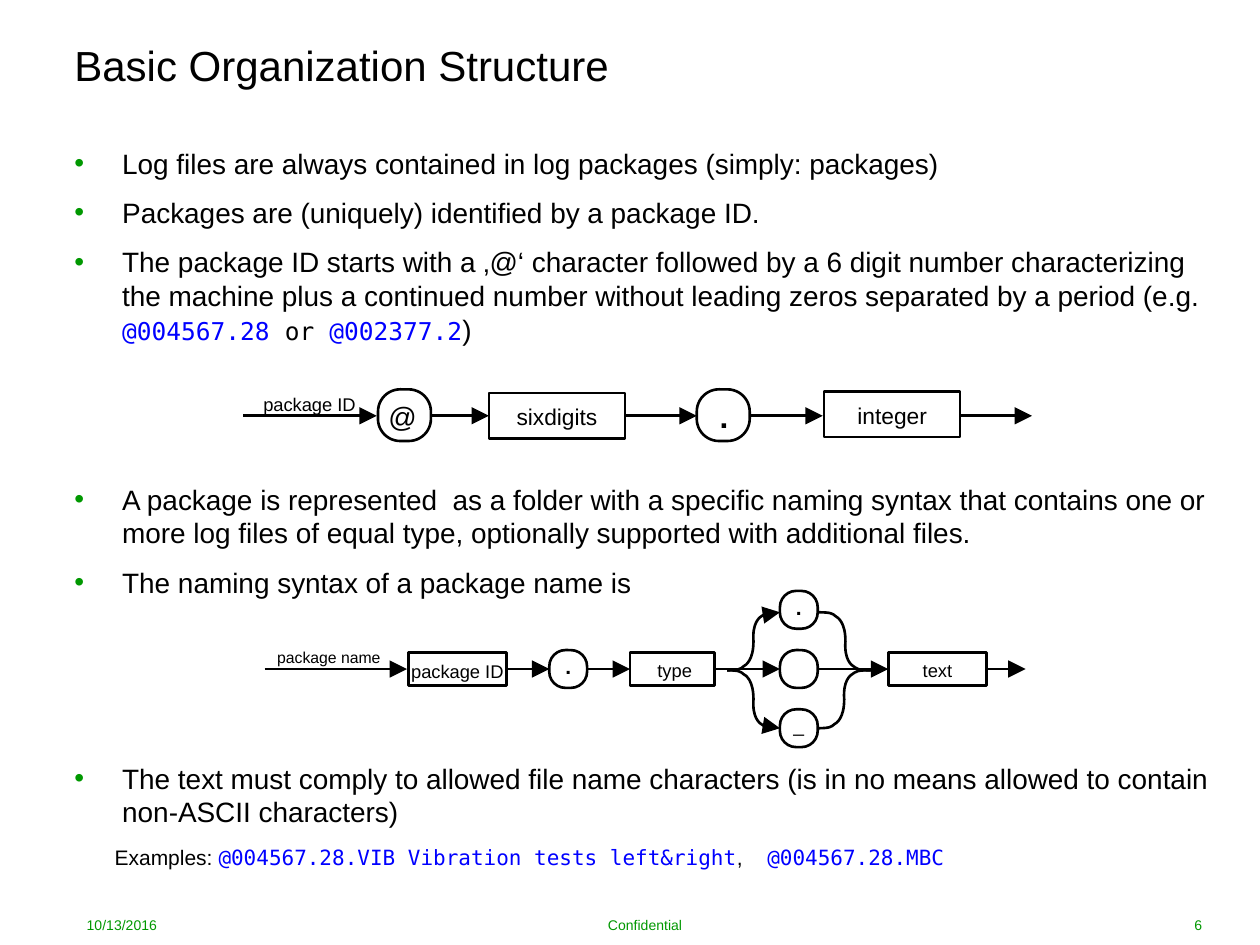
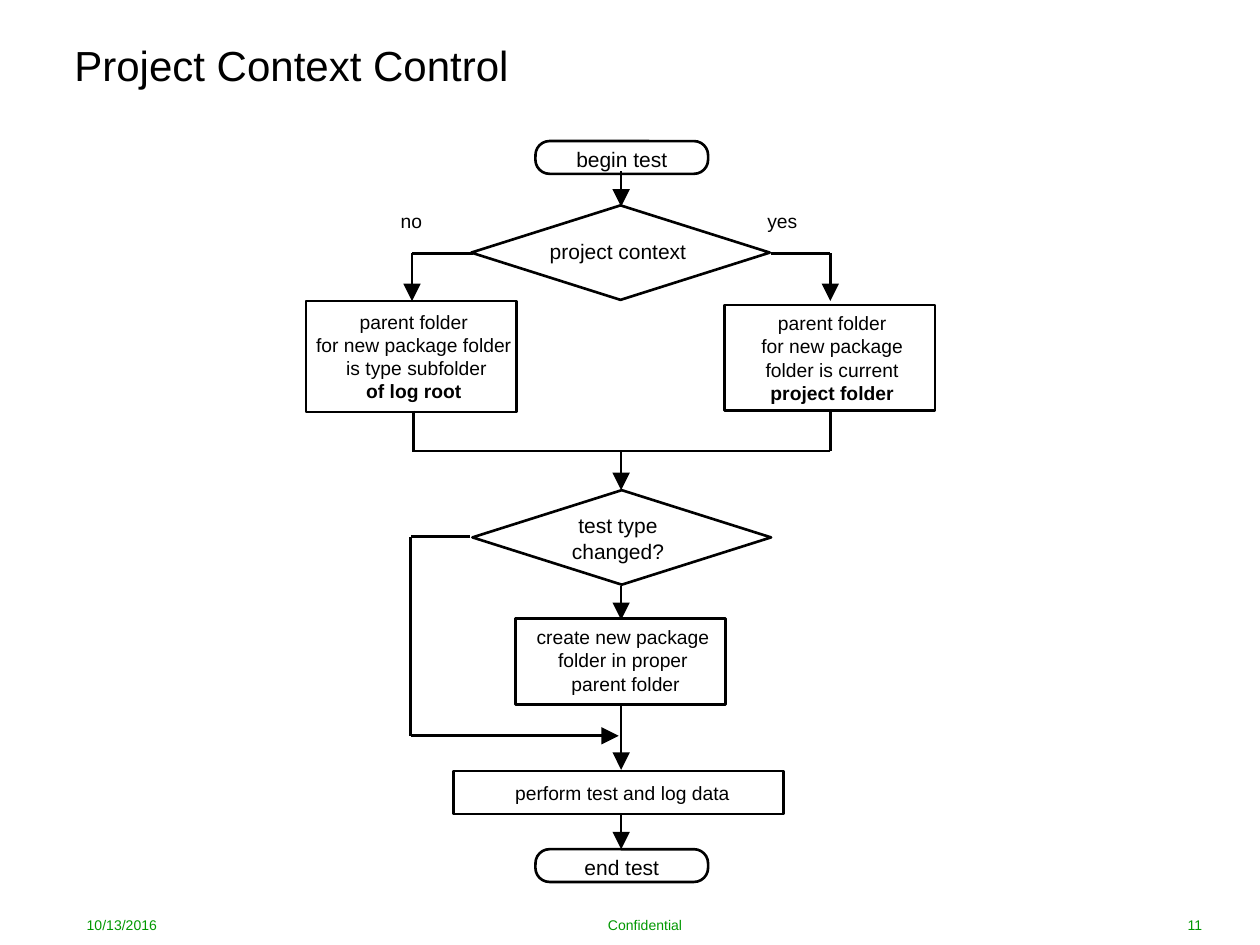
from pptx import Presentation
from pptx.dml.color import RGBColor
from pptx.enum.shapes import MSO_CONNECTOR as Link, MSO_SHAPE as Kind
from pptx.enum.text import MSO_ANCHOR as Anchor, PP_ALIGN as Align
from pptx.oxml.ns import qn
from pptx.util import Inches, Pt
from lxml.etree import SubElement

BLACK = RGBColor(0, 0, 0)
WHITE = RGBColor(255, 255, 255)
GREEN = RGBColor(0, 0x98, 0)
BLUE = RGBColor(0, 0, 255)
SANS, MONO = "Arial", "DejaVu Sans Mono"
STROKE = Pt(1.5)
ROUND = 0.43
INDENT = 0.38

# S-shaped branch: start, then cubic pieces (two handles and an end)
BEND = [(0, 0), (.09, 0), (.11, .01), (.13, .03), (.15, .04), (.21, .08),
        (.21, .23), (.2, .37), (.25, .42), (.29, .44), (.32, .46),
        (.35, .46), (.42, .46)]


class Deck:
    """Shared style and the slide being drawn."""

    def __init__(self):
        """Open an empty 10 by 7.5 inch deck."""
        self.prs = Presentation()
        self.prs.slide_width, self.prs.slide_height = Inches(10), Inches(7.5)
        self.slide = None

    def page(self, title, num):
        """Start a slide with its title and footers."""
        self.slide = self.prs.slides.add_slide(self.prs.slide_layouts[6])
        frame = self.frame(0.59, 0.2, 7.09, 0.63, wrap=True, mid=True)
        self.run(frame.paragraphs[0], title, 24)
        for x, w, text, side in ((0.59, 1.57, "10/13/2016", Align.LEFT),
                                 (2.56, 5.12, "Confidential", Align.CENTER),
                                 (8.07, 1.57, str(num), Align.RIGHT)):
            frame = self.frame(x, 7.24, w, 0.2, wrap=True, mid=True, pad=0.1)
            frame.paragraphs[0].alignment = side
            self.run(frame.paragraphs[0], text, 8, GREEN)

    def frame(self, x, y, w, h, wrap=False, mid=False, pad=0):
        """Add a text box and return its text frame."""
        box = self.slide.shapes.add_textbox(*map(Inches, (x, y, w, h)))
        frame = box.text_frame
        frame.word_wrap = wrap
        frame.vertical_anchor = Anchor.MIDDLE if mid else Anchor.TOP
        frame.margin_left = frame.margin_right = Inches(pad)
        frame.margin_top = frame.margin_bottom = Inches(pad / 2)
        return frame

    def run(self, para, text, size, color=BLACK, font=SANS, bold=False):
        """Add one run of text."""
        run = para.add_run()
        run.text = text
        run.font.size, run.font.name, run.font.bold = Pt(size), font, bold
        run.font.color.rgb = color

    def label(self, x, y, w, h, lines, size, bold=(), mid=False,
              side=Align.CENTER):
        """Add unwrapped lines; bold lists the bold ones."""
        frame = self.frame(x, y, w, h, mid=mid)
        for i, text in enumerate(lines):
            para = frame.add_paragraph() if i else frame.paragraphs[0]
            para.alignment = side
            self.run(para, text, size, bold=i in bold)

    def body(self, items):
        """Add the main text; items are (gap before, bulleted, runs)."""
        frame = self.frame(0.59, 1.16, 9.06, 5.92, wrap=True)
        for i, (gap, dot, runs) in enumerate(items):
            para = frame.add_paragraph() if i else frame.paragraphs[0]
            para.space_before, para.space_after = Pt(gap), Pt(6)
            props = para._p.get_or_add_pPr()
            if dot:
                props.set("marL", str(Inches(INDENT)))
                props.set("indent", str(-Inches(INDENT)))
                tint = SubElement(props, qn("a:buClr"))
                SubElement(tint, qn("a:srgbClr"), val=str(GREEN))
                SubElement(props, qn("a:buFont"), typeface=SANS)
                SubElement(props, qn("a:buChar"), char="•")
            else:
                props.set("marL", "0")
                props.set("indent", str(Inches(0.32)))
                SubElement(props, qn("a:buNone"))
                tabs = SubElement(props, qn("a:tabLst"))
                SubElement(tabs, qn("a:tab"), pos=str(Inches(5.68)), algn="l")
            for run in runs:
                self.run(para, *run)

    def ink(self, item, arrow=False):
        """Set the black stroke, with an arrowhead if asked."""
        item.line.color.rgb, item.line.width = BLACK, STROKE
        if arrow:
            SubElement(item.line._get_or_add_ln(), qn("a:tailEnd"),
                       type="triangle", w="lg", len="lg")

    def node(self, kind, x, y, w, h):
        """Add an outlined shape; plain boxes are white."""
        item = self.slide.shapes.add_shape(kind, *map(Inches, (x, y, w, h)))
        item.shadow.inherit = False
        if kind == Kind.RECTANGLE:
            item.fill.solid()
            item.fill.fore_color.rgb = WHITE
        else:
            item.fill.background()
        if kind == Kind.ROUNDED_RECTANGLE:
            item.adjustments[0] = ROUND
        self.ink(item)

    def route(self, *pts, arrow=True):
        """Join points with straight lines, arrow on the last."""
        for i, (a, b) in enumerate(zip(pts, pts[1:]), 2):
            line = self.slide.shapes.add_connector(
                Link.STRAIGHT, *map(Inches, a + b))
            self.ink(line, arrow and i == len(pts))
            SubElement(line._element.spPr, qn("a:effectLst"))

    def bend(self, x, y, turn, arrow):
        """Add an S-shaped branch, down (1) or up (-1)."""
        pts = [(Inches(x + dx), Inches(y + turn * dy)) for dx, dy in BEND]
        pen = self.slide.shapes.build_freeform(*pts[0], scale=1.0)
        pen.add_line_segments(pts[1:], close=False)
        item = pen.convert_to_shape()
        # Each three straight steps become one cubic curve
        track = next(item._element.iter(qn("a:path")))
        steps = track.findall(qn("a:lnTo"))
        for i in range(0, len(steps), 3):
            curve = SubElement(track, qn("a:cubicBezTo"))
            for step in steps[i:i + 3]:
                curve.append(step[0])
                track.remove(step)
        item.shadow.inherit = False
        item.fill.background()
        self.ink(item, arrow)


def syntax(deck):
    """Draw the slide on package naming."""
    deck.page("Basic Organization Structure", 6)
    deck.body([
        (3, True, [("Log files are always contained in log packages "
                    "(simply: packages)", 16)]),
        (3, True, [("Packages are (uniquely) identified by a package ID.",
                    16)]),
        (3, True, [("The package ID starts with a ‚@‘ character followed by "
                    "a 6 digit number characterizing the machine plus a "
                    "continued number without leading zeros separated by a "
                    "period (e.g. ", 16),
                   ("@004567.28 ", 14, BLUE, MONO), ("or ", 14, BLACK, MONO),
                   ("@002377.2", 14, BLUE, MONO), (")", 16)]),
        (72, True, [("A package is represented  as a folder with a specific "
                     "naming syntax that contains one or more log files of "
                     "equal type, optionally supported with additional "
                     "files.", 16)]),
        (3, True, [("The naming syntax of a package name is ", 16)]),
        (87, True, [("The text must comply to allowed file name characters "
                     "(is in no means allowed to contain non-ASCII "
                     "characters)", 16)]),
        (3, False, [("Examples: ", 12),
                    ("@004567.28.VIB Vibration tests left&right", 12, BLUE,
                     MONO), (",\t", 12),
                    ("@004567.28.MBC", 12, BLUE, MONO)]),
    ])

    # Package ID row
    for a, b in ((1.93, 2.99), (3.42, 3.88), (4.96, 5.53), (5.95, 6.53),
                 (7.61, 8.19)):
        deck.route((a, 3.3), (b, 3.3))
    deck.label(2.09, 3.12, 0.8, 0.13, ["package ID"], 10.5, side=Align.LEFT)
    for x, y, text in ((3.88, 3.12, "sixdigits"), (6.54, 3.11, "integer")):
        deck.node(Kind.RECTANGLE, x, y, 1.08, 0.36)
        deck.label(x, y + 0.08, 1.08, 0.25, [text], 13)
    for x in (3, 5.53):
        deck.node(Kind.ROUNDED_RECTANGLE, x, 3.09, 0.42, 0.41)
    deck.label(3.07, 3.17, 0.25, 0.25, ["@"], 16)
    deck.label(5.62, 3.15, 0.25, 0.25, ["."], 18, bold=[0])

    # Package name row
    for a, b in ((2.1, 3.23), (4.03, 4.36), (4.66, 5), (5.66, 6.19),
                 (6.5, 7.05), (7.83, 8.14)):
        deck.route((a, 5.31), (b, 5.31))
    deck.label(2.2, 5.14, 0.9, 0.09, ["package name"], 9, side=Align.LEFT)
    for x, w, dx, dy, text in ((3.24, 0.78, 0, 0.06, "package ID"),
                               (5, 0.67, 0.04, 0.05, "type"),
                               (7.05, 0.78, 0, 0.05, "text")):
        deck.node(Kind.RECTANGLE, x, 5.18, w, 0.26)
        deck.label(x + dx, 5.18 + dy, w - dx, 0.18, [text], 10.5)
    for x, y, text in ((4.36, 5.16, "."), (6.19, 4.69, "."),
                       (6.19, 5.16, ""), (6.19, 5.63, "_")):
        deck.node(Kind.ROUNDED_RECTANGLE, x, y, 0.3, 0.3)
        if text:
            dot = text == "."
            deck.label(x + 0.06, y + 0.03, 0.18, 0.18, [text],
                       12 if dot else 11, bold=[0] if dot else [])
    for x, y, turn, arrow in ((5.77, 5.32, 1, True), (5.77, 5.32, -1, True),
                              (6.49, 5.78, -1, False), (6.5, 4.86, 1, False)):
        deck.bend(x, y, turn, arrow)


def flow(deck):
    """Draw the flow chart slide."""
    deck.page("Project Context Control", 11)
    axis, left, right = 4.93, 3.27, 6.59

    for y, text in ((1.12, "begin test"), (6.74, "end test")):
        deck.node(Kind.ROUNDED_RECTANGLE, 4.25, y, 1.37, 0.26)
        deck.label(4.26, y + 0.04, 1.35, 0.28, [text], 12)
    for x, y, dy, lines in ((3.74, 1.63, 0.26, ["project context"]),
                            (3.75, 3.89, 0.18, ["test type", "changed?"])):
        deck.node(Kind.FLOWCHART_DECISION, x, y, 2.37, 0.75)
        deck.label(4.23, y + dy, 1.35, 0.28, lines, 12)
    for x, y, w, h, dx, dy, lines, bold in (
            (2.43, 2.39, 1.67, 0.88, 0.02, 0, ["parent folder",
             "for new package folder", " is type subfolder", "of log root"],
             [3]),
            (5.75, 2.42, 1.67, 0.84, 0.02, 0, ["parent folder",
             "for new package", "folder is current", "project folder"], [3]),
            (4.09, 4.91, 1.67, 0.68, 0.02, -0.01, ["create new package",
             "folder in proper", " parent folder"], []),
            (3.6, 6.12, 2.62, 0.34, 0.03, 0, ["perform test and log data"],
             [])):
        deck.node(Kind.RECTANGLE, x, y, w, h)
        deck.label(x + dx, y + dy, w, h, lines, 11, bold, mid=True)
    for x, text in ((3.18, "no"), (6.09, "yes")):
        deck.label(x, 1.66, 1, 0.14, [text], 11, side=Align.LEFT)

    for a, b in ((1.36, 1.64), (3.58, 3.89), (4.65, 4.92), (5.59, 6.11),
                 (6.47, 6.74)):
        deck.route((axis, a), (axis, b))
    for tip, x in ((3.75, left), (6.12, right)):
        deck.route((tip, 2.01), (x, 2.01), (x, 2.39))
    for x in (left + 0.01, right):
        deck.route((x, 3.26), (x, 3.58), arrow=False)
    deck.route((right, 3.58), (left, 3.58), arrow=False)
    deck.route((3.73, 4.26), (3.26, 4.26), (3.26, 5.84), (4.91, 5.84))


deck = Deck()
syntax(deck)
flow(deck)
deck.prs.save("out.pptx")
